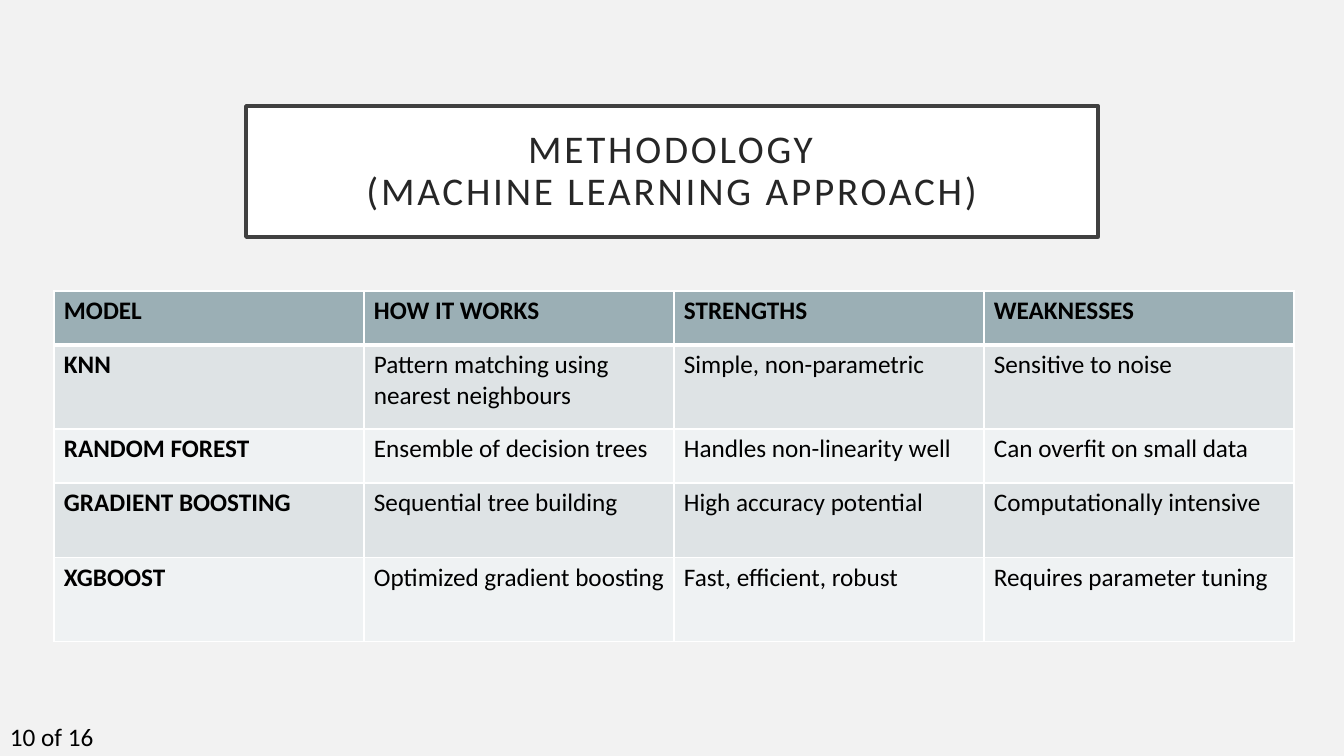
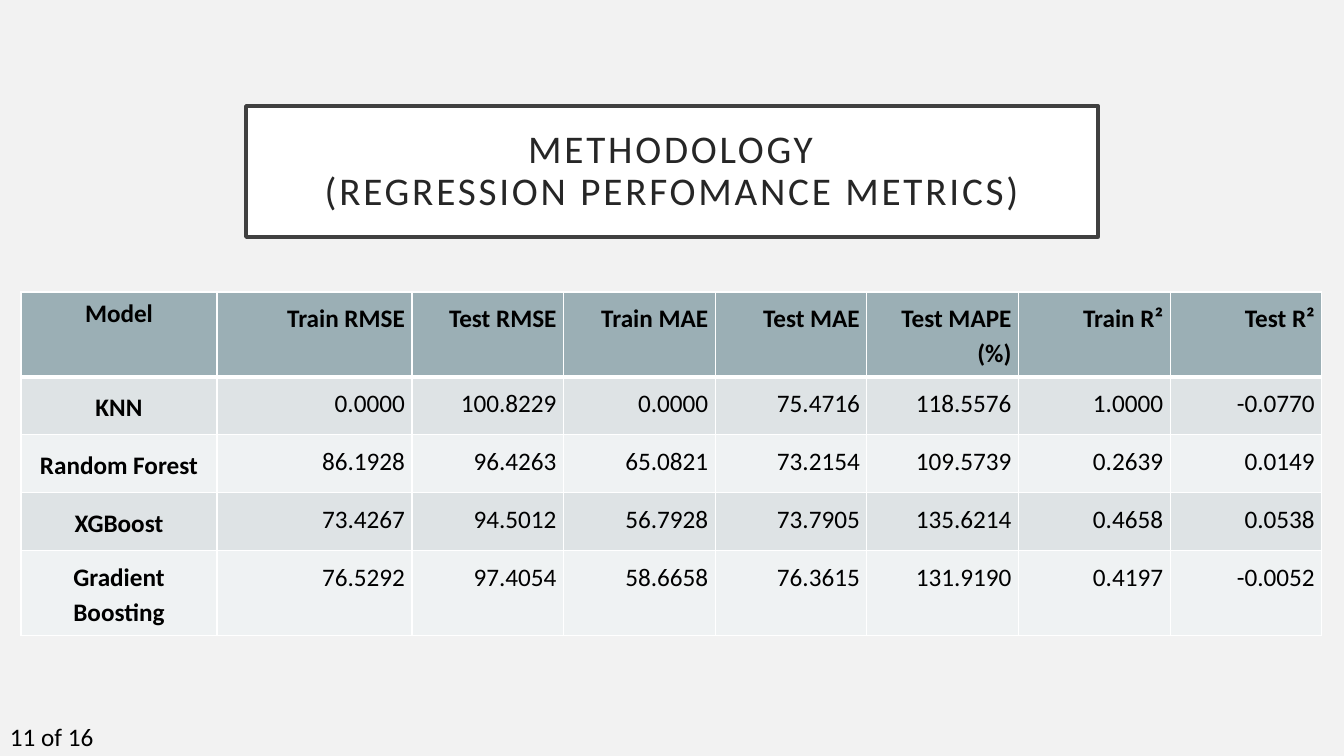
from lxml import etree
from pptx import Presentation
from pptx import util as u
from pptx.dml.color import RGBColor
from pptx.enum import text
from pptx.oxml import ns

FONT = "Calibri"
INK, TITLE_INK, WHITE, FRAME, PAPER = "000000", "262626", "FFFFFF", "404040", "F2F2F2"
HEADER, BANDS = "9BAFB5", ("DEE3E5", "EFF2F3")
THIN, THICK = u.Pt(1), u.Pt(3)
SIDES = ("left", "top", "right", "bottom")
LEFT, CENTER, RIGHT = text.PP_ALIGN.LEFT, text.PP_ALIGN.CENTER, text.PP_ALIGN.RIGHT
TOP, MIDDLE = text.MSO_ANCHOR.TOP, text.MSO_ANCHOR.MIDDLE


def px(length):
    return u.Emu(round(length * 914400 / 100.8))


def color(value):
    return RGBColor.from_string(value)


slides = [
    {
        "title": "METHODOLOGY\v(MACHINE LEARNING APPROACH)",
        "footer": "10 of 16",
        "left": 54, "top": 291,
        "columns": [310] * 4,
        "heights": [54, 84, 54, 75, 84],
        "margins": (10, 5, 10, 5),
        "label_align": LEFT, "value_align": LEFT,
        "label_anchor": TOP, "spacing": None,
        "rows": [
            ["MODEL", "HOW IT WORKS", "STRENGTHS", "WEAKNESSES"],
            ["KNN", "Pattern matching using nearest neighbours",
             "Simple, non-parametric", "Sensitive to noise"],
            ["RANDOM FOREST", "Ensemble of decision trees",
             "Handles non-linearity well", "Can overfit on small data"],
            ["GRADIENT BOOSTING", "Sequential tree building",
             "High accuracy potential", "Computationally intensive"],
            ["XGBOOST", "Optimized gradient boosting",
             "Fast, efficient, robust", "Requires parameter tuning"],
        ],
    },
    {
        "title": "METHODOLOGY\v(REGRESSION PERFOMANCE METRICS)",
        "footer": "11 of 16",
        "left": 21, "top": 292,
        "columns": [196, 195] + [(1301 - 196 - 195) / 6] * 6,
        "heights": [64] + [58] * 4,
        "margins": (7, 7, 7, 7),
        "label_align": CENTER, "value_align": RIGHT,
        "label_anchor": MIDDLE, "spacing": 1.15,
        "rows": [
            ["Model", "Train RMSE", "Test RMSE", "Train MAE", "Test MAE",
             "Test MAPE (%)", "Train R²", "Test R²"],
            ["KNN", "0.0000", "100.8229", "0.0000", "75.4716", "118.5576", "1.0000", "-0.0770"],
            ["Random Forest", "86.1928", "96.4263", "65.0821", "73.2154", "109.5739",
             "0.2639", "0.0149"],
            ["XGBoost", "73.4267", "94.5012", "56.7928", "73.7905", "135.6214",
             "0.4658", "0.0538"],
            ["Gradient Boosting", "76.5292", "97.4054", "58.6658", "76.3615", "131.9190",
             "0.4197", "-0.0052"],
        ],
    },
]

deck = Presentation()
deck.slide_width, deck.slide_height = px(1344), px(756)
master = deck.slide_master
master.background.fill.solid()
master.background.fill.fore_color.rgb = color(PAPER)
title_level = master.element.find(".//" + ns.qn("p:titleStyle")).find(ns.qn("a:lvl1pPr"))
title_default = title_level.find(ns.qn("a:defRPr"))
for name, value in {"sz": "2800", "spc": "200"}.items():
    title_default.set(name, value)

for content in slides:
    page = deck.slides.add_slide(deck.slide_layouts[5])

    title = page.shapes.title
    for name, value in {"left": 246, "top": 106, "width": 852, "height": 131}.items():
        setattr(title, name, px(value))
    title.fill.solid()
    title.fill.fore_color.rgb = color(WHITE)
    title.line.color.rgb = color(FRAME)
    title.line.width = u.Pt(2.5)
    frame = title.text_frame
    frame.auto_size = text.MSO_AUTO_SIZE.NONE
    frame.vertical_anchor = MIDDLE
    for side in SIDES:
        setattr(frame, "margin_" + side, px(20))
    para = frame.paragraphs[0]
    para.text = content["title"]
    para.alignment, para.line_spacing = CENTER, 0.9
    for span in para.runs:
        span.font.name, span.font.size = FONT, u.Pt(28)
        span.font.color.rgb = color(TITLE_INK)

    rows, columns, heights = content["rows"], content["columns"], content["heights"]
    table = page.shapes.add_table(
        len(rows), len(columns), px(content["left"]), px(content["top"]),
        px(sum(columns)), px(sum(heights))).table
    table.first_row = table.horz_banding = False
    for column, width in zip(table.columns, columns):
        column.width = px(width)
    for r, (row, height) in enumerate(zip(rows, heights)):
        table.rows[r].height = px(height)
        for c, words in enumerate(row):
            cell = table.cell(r, c)
            cell.fill.solid()
            cell.fill.fore_color.rgb = color(BANDS[(r - 1) % 2] if r else HEADER)
            for side, margin in zip(SIDES, content["margins"]):
                setattr(cell, "margin_" + side, px(margin))
            cell.vertical_anchor = content["label_anchor"] if r and c == 0 else TOP
            para = cell.text_frame.paragraphs[0]
            para.alignment = content["value_align"] if c else content["label_align"]
            if r or c:
                para.line_spacing = content["spacing"]
            span = para.add_run()
            span.text = words
            for name, value in {"name": FONT, "size": u.Pt(18), "bold": r == 0 or c == 0}.items():
                setattr(span.font, name, value)
            span.font.color.rgb = color(INK)
            borders = {"lnL": THIN, "lnR": THIN,
                       "lnT": THICK if r == 1 else THIN,
                       "lnB": THICK if r == 0 else THIN}
            properties = cell._tc.get_or_add_tcPr()
            for index, (edge, width) in enumerate(borders.items()):
                line = etree.Element(ns.qn("a:" + edge), w=str(int(width)))
                fill = etree.SubElement(line, ns.qn("a:solidFill"))
                etree.SubElement(fill, ns.qn("a:srgbClr"), val=WHITE)
                properties.insert(index, line)

    footer = page.shapes.add_textbox(px(0), px(716), px(106), px(40))
    footer.text_frame.word_wrap = False
    footer.text_frame.auto_size = text.MSO_AUTO_SIZE.SHAPE_TO_FIT_TEXT
    span = footer.text_frame.paragraphs[0].add_run()
    span.text = content["footer"]
    span.font.name, span.font.size = FONT, u.Pt(18)
    span.font.color.rgb = color(INK)

deck.save("out.pptx")
